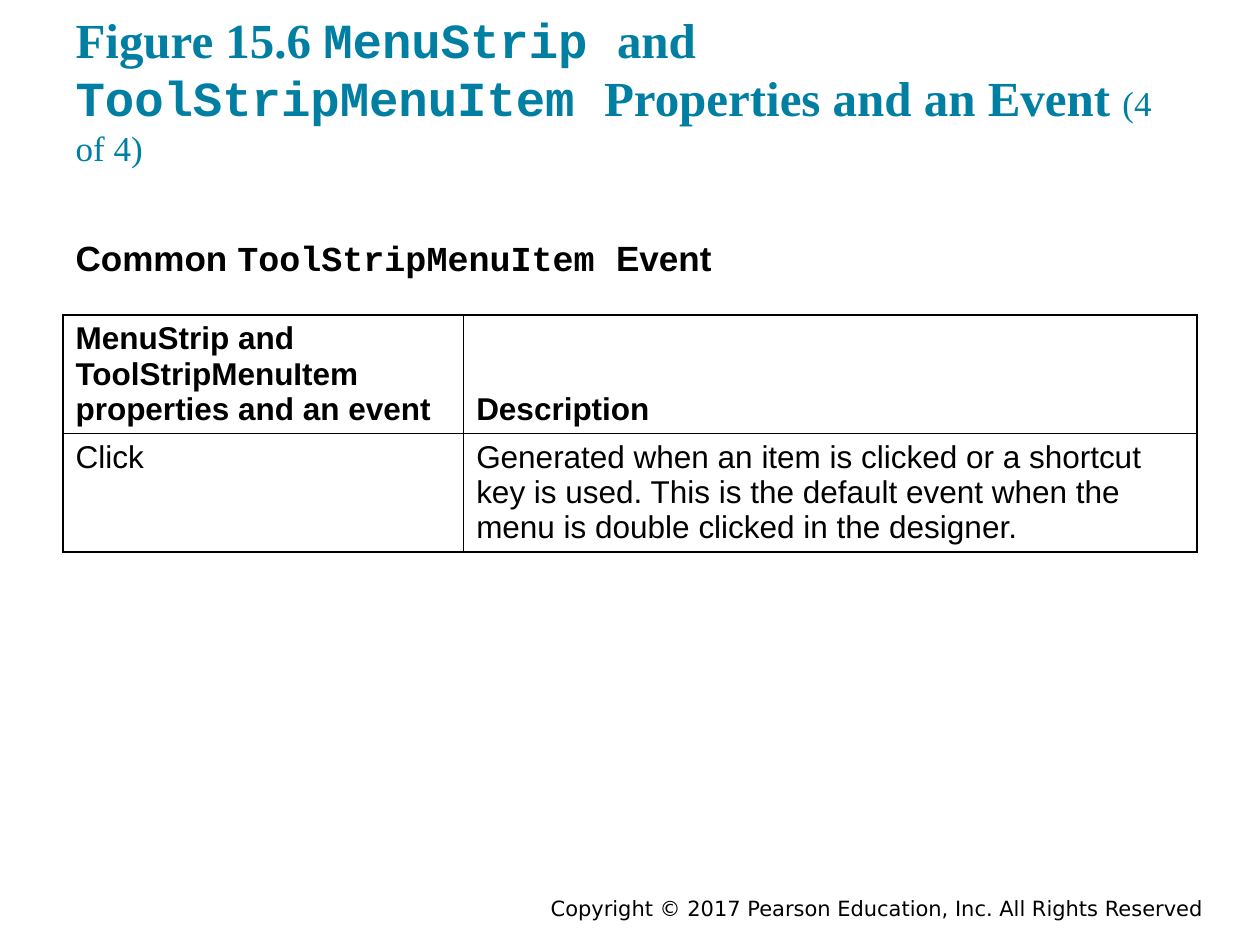
from dataclasses import dataclass

from lxml import etree
from pptx import Presentation
from pptx import util as u
from pptx.dml import color
from pptx.enum import text
from pptx.oxml import ns

COLORS = {"title": "007FA3", "ink": "000000", "paper": "FFFFFF"}
SERIF, SANS, MONO, FOOTER = "Times New Roman", "Arial", "Courier New", "DejaVu Sans"


@dataclass(frozen=True)
class Span:
    words: str
    font: str
    size: float
    bold: bool = True
    ink: str = "ink"


@dataclass(frozen=True)
class Area:
    left: float
    top: float
    width: float
    height: float


TITLE = [
    Span("Figure 15.6 ", SERIF, 28, ink="title"),
    Span("MenuStrip ", MONO, 28, ink="title"),
    Span("and ", SERIF, 28, ink="title"),
    Span("ToolStripMenuItem ", MONO, 28, ink="title"),
    Span("Properties and an Event ", SERIF, 28, ink="title"),
    Span("(4 of 4)", SERIF, 20, bold=False, ink="title"),
]
SUBTITLE = [
    Span("Common ", SANS, 20),
    Span("ToolStripMenuItem ", MONO, 20),
    Span("Event", SANS, 20),
]
ROWS = [
    ("MenuStrip and ToolStripMenuItem properties and an event", "Description"),
    ("Click", "Generated when an item is clicked or a shortcut key is used. "
              "This is the default event when the menu is double clicked in the designer."),
]
COLUMN_WIDTHS = [3.18, 5.82]
ROW_HEIGHT = 0.94


def rgb(name: str) -> color.RGBColor:
    return color.RGBColor.from_string(COLORS[name])


def write_text(frame, spans: list[Span], *, align=text.PP_ALIGN.LEFT,
               anchor=text.MSO_ANCHOR.TOP, bulleted: bool = True) -> None:
    frame.word_wrap = True
    frame.vertical_anchor = anchor
    para = frame.paragraphs[0]
    if not bulleted:
        properties = para._p.get_or_add_pPr()
        properties.set("marL", "0")
        properties.set("indent", "0")
        etree.SubElement(properties, ns.qn("a:buNone"))
    para.alignment = align
    para.space_before = u.Pt(0)
    for span in spans:
        run = para.add_run()
        run.text = span.words
        run.font.name = span.font
        run.font.size = u.Pt(span.size)
        run.font.bold = span.bold
        run.font.color.rgb = rgb(span.ink)


def place(box, area: Area, *, inset: float = 0.1, top_inset: float = 0.1) -> None:
    box.left, box.top = u.Inches(area.left), u.Inches(area.top)
    box.width, box.height = u.Inches(area.width), u.Inches(area.height)
    frame = box.text_frame
    frame.auto_size = text.MSO_AUTO_SIZE.NONE
    frame.margin_left = frame.margin_right = frame.margin_bottom = u.Inches(inset)
    frame.margin_top = u.Inches(top_inset)


def outline_cell(cell) -> None:
    properties = cell._tc.get_or_add_tcPr()
    for position, side in enumerate(("lnL", "lnR", "lnT", "lnB")):
        line = etree.Element(ns.qn(f"a:{side}"), w=str(u.Pt(1)))
        fill = etree.SubElement(line, ns.qn("a:solidFill"))
        etree.SubElement(fill, ns.qn("a:srgbClr"), val=COLORS["ink"])
        properties.insert(position, line)


def draw_table(page, area: Area) -> None:
    table = page.shapes.add_table(
        len(ROWS), len(COLUMN_WIDTHS), u.Inches(area.left), u.Inches(area.top),
        u.Inches(area.width), u.Inches(area.height)).table
    for column, width in zip(table.columns, COLUMN_WIDTHS):
        column.width = u.Inches(width)
    for row_index, row in enumerate(ROWS):
        header = row_index == 0
        anchor = text.MSO_ANCHOR.BOTTOM if header else text.MSO_ANCHOR.TOP
        for column_index, words in enumerate(row):
            cell = table.cell(row_index, column_index)
            cell.fill.solid()
            cell.fill.fore_color.rgb = rgb("paper")
            write_text(cell.text_frame, [Span(words, SANS, 18, bold=header)])
            cell.vertical_anchor = anchor
            outline_cell(cell)


def main() -> None:
    deck = Presentation()
    deck.slide_width, deck.slide_height = u.Inches(10), u.Inches(7.5)
    page = deck.slides.add_slide(deck.slide_layouts[1])

    title = page.shapes.title
    place(title, Area(0.5, 0.24, 9, 1.2))
    write_text(title.text_frame, TITLE, anchor=text.MSO_ANCHOR.BOTTOM)

    subtitle = page.placeholders[1]
    place(subtitle, Area(0.5, 1.75, 9, 0.62), top_inset=0.13)
    write_text(subtitle.text_frame, SUBTITLE, bulleted=False)

    draw_table(page, Area(0.5, 2.5, sum(COLUMN_WIDTHS), ROW_HEIGHT * len(ROWS)))

    footer = page.shapes.add_textbox(0, 0, 0, 0)
    place(footer, Area(3, 7.08, 6.65, 0.25), top_inset=0)
    footer.text_frame.margin_bottom = 0
    write_text(footer.text_frame,
               [Span("Copyright © 2017 Pearson Education, Inc. All Rights Reserved",
                     FOOTER, 12, bold=False)],
               align=text.PP_ALIGN.RIGHT, anchor=text.MSO_ANCHOR.MIDDLE)
    deck.save("out.pptx")


if __name__ == "__main__":
    main()
